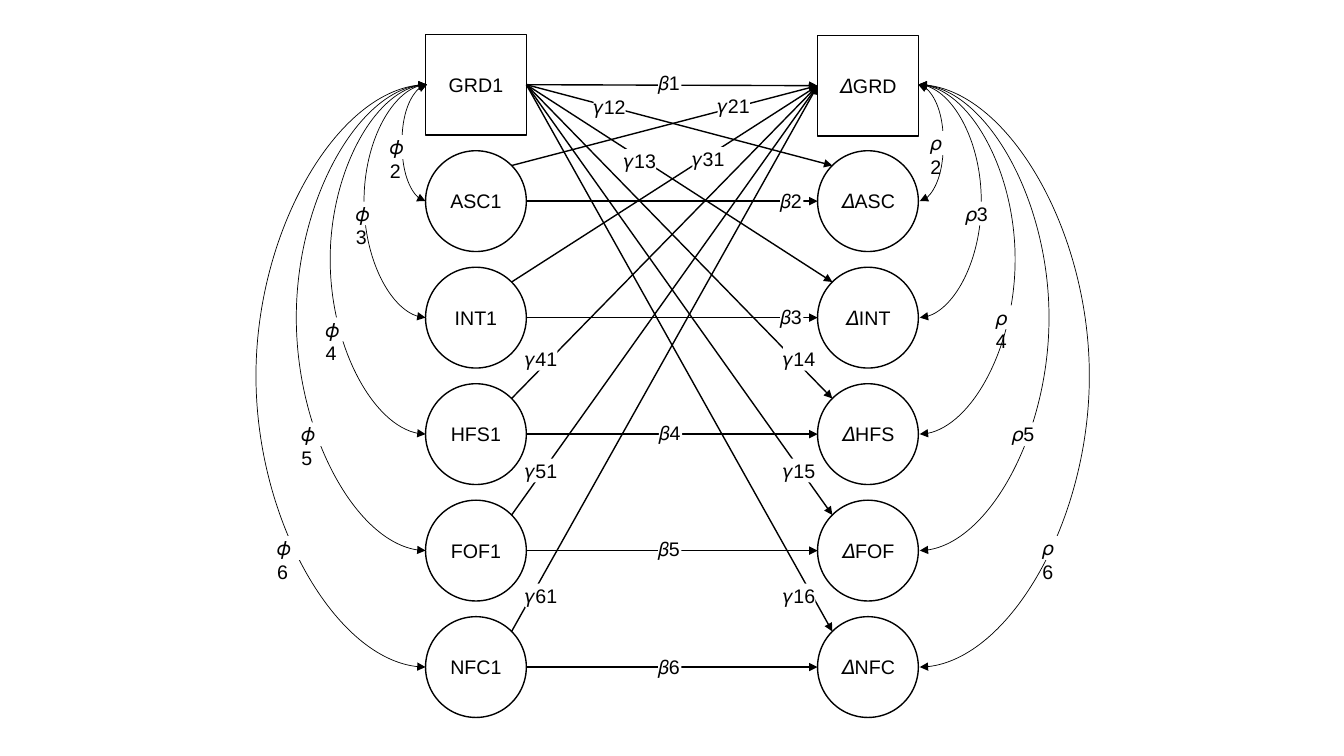
import pptx
import pptx.util
import pptx.dml.color
import pptx.enum.shapes
import pptx.enum.text
import pptx.oxml.ns
import lxml.etree

Pt = pptx.util.Pt
SHAPE = pptx.enum.shapes.MSO_SHAPE
CONNECTOR = pptx.enum.shapes.MSO_CONNECTOR
ALIGN = pptx.enum.text.PP_ALIGN
ANCHOR = pptx.enum.text.MSO_ANCHOR
BLACK = pptx.dml.color.RGBColor(0x00, 0x00, 0x00)
WHITE = pptx.dml.color.RGBColor(0xFF, 0xFF, 0xFF)

NODE = 72
LEFT, RIGHT = 304, 584
TOP, PITCH = 24.5, 83.2
CORNER = 10.54
LEFT_EDGE = LEFT + NODE
TARGET_Y = TOP + NODE / 2 + 0.7
LABEL_HEIGHT = 17
VARIABLES = ["GRD", "ASC", "INT", "HFS", "FOF", "NFC"]
BULGES = [18, 45.29, 69.68, 94.07, 123.1]

BETAS = [(470.2, 51), (557.3, 135.2), (557.3, 218), (470.6, 301),
         (470.2, 383.3), (470.2, 468)]
GAMMAS = {
    "12": (424, 67.7), "13": (445.7, 106.5), "14": (559.4, 247.7),
    "15": (559.4, 327.6), "16": (559.4, 416.9),
    "21": (512.6, 67), "31": (494.6, 105.1), "41": (375.1, 247.7),
    "51": (375.1, 327.6), "61": (375.1, 416.9),
}
PHIS = [(278.6, 96.5), (254.2, 144), (232.6, 226.8), (215.3, 301.7), (198, 383)]
RHOS = [(664.6, 93.6, 15.8), (689.8, 144, 17.5), (711.4, 218.2, 15.8),
        (722.9, 301.7, 17.5), (744.5, 383, 15.8)]


def row_top(row):
    return TOP + PITCH * row


def row_middle(row):
    return row_top(row) + NODE / 2


def set_text(sp, text, size=14, align=ALIGN.LEFT, anchor=ANCHOR.TOP,
             margin=0, wrap=False):
    tf = sp.text_frame
    tf.word_wrap = wrap
    tf.vertical_anchor = anchor
    tf.margin_left = tf.margin_right = Pt(margin)
    tf.margin_top = tf.margin_bottom = Pt(margin)
    p = tf.paragraphs[0]
    p.alignment = align
    r = p.add_run()
    r.text = text
    r.font.name = "Arial"
    r.font.size = Pt(size)
    r.font.color.rgb = BLACK


def add_node(shapes, text, x, y, kind):
    sp = shapes.add_shape(kind, Pt(x), Pt(y), Pt(NODE), Pt(NODE))
    sp.shadow.inherit = False
    sp.fill.background()
    sp.line.color.rgb = BLACK
    sp.line.width = Pt(1)
    set_text(sp, text, align=ALIGN.CENTER, anchor=ANCHOR.MIDDLE, margin=3.6)


def add_label(shapes, text, x, y, width, wrap=False):
    sp = shapes.add_shape(SHAPE.RECTANGLE, Pt(x), Pt(y), Pt(width), Pt(LABEL_HEIGHT))
    sp.shadow.inherit = False
    sp.fill.solid()
    sp.fill.fore_color.rgb = WHITE
    sp.line.fill.background()
    set_text(sp, text, wrap=wrap)


def add_path(shapes, start, end, width=1, kind=CONNECTOR.STRAIGHT, ends=("tailEnd",)):
    line = shapes.add_connector(kind, *(Pt(v) for v in start + end))
    line.line.color.rgb = BLACK
    line.line.width = Pt(width)
    ln = line.line._get_or_add_ln()
    for name in ends:
        lxml.etree.SubElement(ln, pptx.oxml.ns.qn("a:" + name), type="triangle")
    lxml.etree.SubElement(line._element.spPr, pptx.oxml.ns.qn("a:effectLst"))
    return line


def add_covariance(shapes, start, end, bulge):
    line = add_path(shapes, start, end, 0.5, CONNECTOR.CURVE, ("headEnd", "tailEnd"))
    geom = line._element.spPr.find(pptx.oxml.ns.qn("a:prstGeom"))
    guides = geom.get_or_add_avLst()
    lxml.etree.SubElement(guides, pptx.oxml.ns.qn("a:gd"), name="adj1",
                          fmla=f"val {round(bulge * 100000)}")


def add_nodes(shapes):
    for row, name in enumerate(VARIABLES):
        kind = SHAPE.OVAL if row else SHAPE.RECTANGLE
        add_node(shapes, name + "1", LEFT, row_top(row), kind)
        add_node(shapes, "𝛥" + name, RIGHT, row_top(row) + (0 if row else 0.7), kind)


def add_regressions(shapes):
    source, target = (LEFT_EDGE, row_middle(0)), (RIGHT, TARGET_Y)
    add_path(shapes, source, target)
    for row in range(1, len(VARIABLES)):
        y, corner_y = row_middle(row), row_top(row) + CORNER
        add_path(shapes, (LEFT_EDGE, y), (RIGHT, y))
        add_path(shapes, (LEFT_EDGE - CORNER, corner_y), target)
        add_path(shapes, source, (RIGHT + CORNER, corner_y))
    for number, (x, y) in enumerate(BETAS, 1):
        add_label(shapes, f"𝛽{number}", x, y, 16.6)
    for number, (x, y) in GAMMAS.items():
        add_label(shapes, f"𝛾{number}", x, y, 23)


def add_covariances(shapes):
    for x, step in ((LEFT, -1), (RIGHT + NODE, 1)):
        group = shapes.add_group_shape()
        start_x = x + 1 if step < 0 else x
        for row, bulge in enumerate(BULGES, 1):
            add_covariance(group.shapes, (start_x, row_middle(0)),
                           (start_x + step, row_middle(row)), bulge)
    for number, (x, y) in enumerate(PHIS, 2):
        add_label(shapes, f"𝜙{number}", x, y, 17.3, wrap=True)
    for number, (x, y, width) in enumerate(RHOS, 2):
        add_label(shapes, f"𝜌{number}", x, y, width, wrap=True)


def main():
    prs = pptx.Presentation()
    prs.slide_width, prs.slide_height = Pt(960), Pt(540)
    shapes = prs.slides.add_slide(prs.slide_layouts[6]).shapes
    add_nodes(shapes)
    add_regressions(shapes)
    add_covariances(shapes)
    prs.save("out.pptx")


if __name__ == "__main__":
    main()
